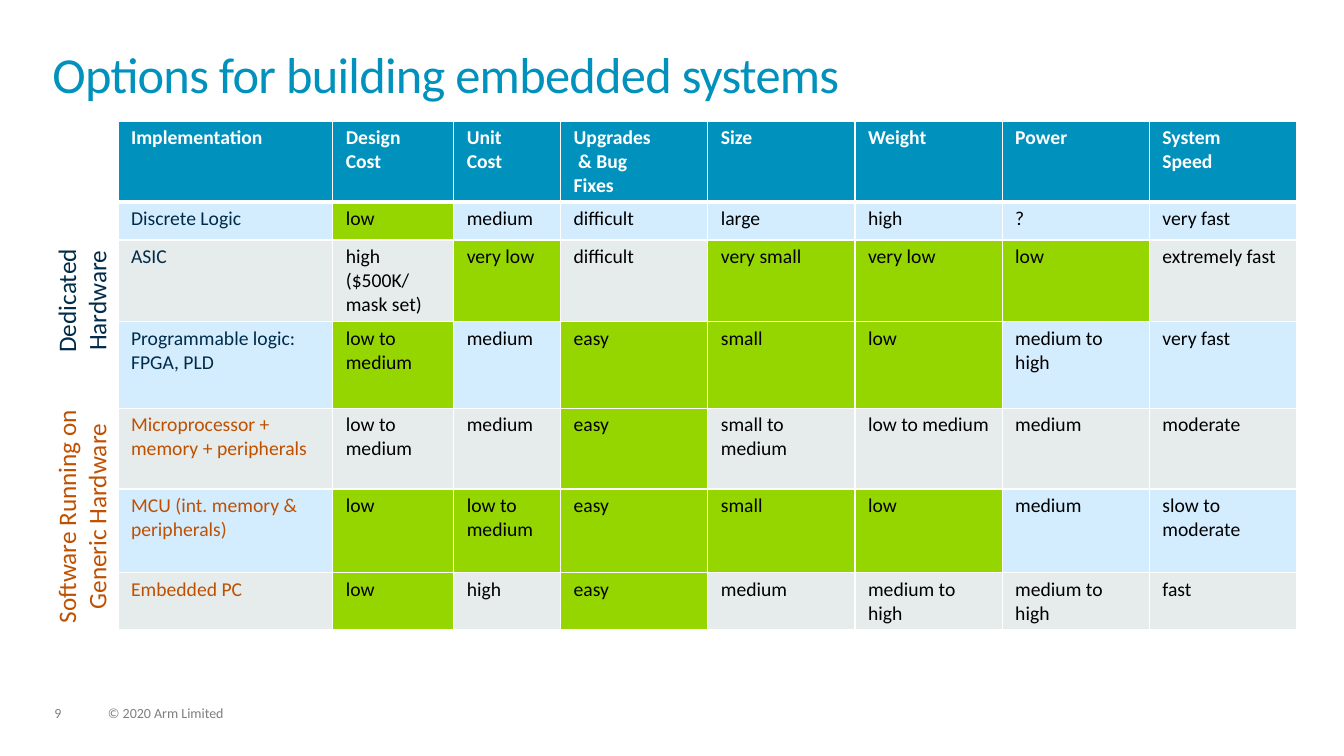
"""Build a slide comparing the options for building embedded systems."""
from copy import deepcopy
from dataclasses import dataclass

from lxml.etree import SubElement
from pptx import Presentation
from pptx.dml.color import RGBColor
from pptx.enum.text import PP_ALIGN
from pptx.oxml.ns import qn
from pptx.util import Inches, Pt

COLORS = {
    "blue": "0091BD",
    "navy": "002B49",
    "orange": "BF5000",
    "green": "95D600",
    "pale_blue": "D3EDFF",
    "pale_gray": "E5ECEB",
    "gray": "7F7F7F",
    "black": "000000",
    "white": "FFFFFF",
}
FONT = "Calibri"


@dataclass(frozen=True)
class Label:
    text: str
    left: float
    top: float
    width: float
    height: float
    size: float
    color: str
    rotation: float = 0
    inset: tuple[float, float] = (0, 0)
    align: PP_ALIGN = PP_ALIGN.LEFT
    line_spacing: float = 1.0
    tracking: float = 0


@dataclass(frozen=True)
class Option:
    values: tuple[str, ...]
    height: float
    color: str
    strengths: tuple[int, ...]


SIDE = {"size": 18, "rotation": 270, "inset": (0.1, 0.05), "align": PP_ALIGN.CENTER}
FOOTER = {"size": 10, "color": "gray", "line_spacing": 0.9}

LABELS = (
    Label("9", 0.54, 7.01, 0.34, 0.15, **FOOTER),
    Label("© 2020 Arm Limited", 1.07, 7.01, 1.71, 0.15, **FOOTER),
    Label("Options for building embedded systems", 0.52, 0.52, 12.28, 0.72,
          size=36, color="blue", line_spacing=0.85, tracking=-0.5),
    Label("Dedicated Hardware", -0.2, 2.63, 2.02, 0.71, color="navy", **SIDE),
    Label("Software Running on\nGeneric Hardware", -0.44, 4.77, 2.5, 0.71,
          color="orange", **SIDE),
)

COLUMN_WIDTHS = (2.13, 1.2, 1.06) + (1.46,) * 5
HEADER_HEIGHT = 0.78
HEADINGS = ("Implementation", "Design\nCost", "Unit\nCost", "Upgrades\n & Bug\nFixes",
            "Size", "Weight", "Power", "System\nSpeed")
OPTIONS = (
    Option(("Discrete Logic", "low", "medium", "difficult", "large", "high", "?",
            "very fast"), 0.38, "navy", (1,)),
    Option(("ASIC", "high ($500K/\nmask set)", "very low", "difficult", "very small",
            "very low", "low", "extremely fast"), 0.81, "navy", (2, 4, 5, 6)),
    Option(("Programmable logic: FPGA, PLD", "low to medium", "medium", "easy", "small",
            "low", "medium to high", "very fast"), 0.86, "navy", (1, 3, 4, 5)),
    Option(("Microprocessor + memory + peripherals", "low to medium", "medium", "easy",
            "small to medium", "low to medium", "medium", "moderate"),
           0.8, "orange", (3,)),
    Option(("MCU (int. memory & peripherals)", "low", "low to medium", "easy", "small",
            "low", "medium", "slow to moderate"), 0.83, "orange", (1, 2, 3, 4, 5)),
    Option(("Embedded PC", "low", "high", "easy", "medium", "medium to high",
            "medium to high", "fast"), 0.57, "orange", (1, 3)),
)


def rgb(name: str) -> RGBColor:
    """Return the named colour."""
    return RGBColor.from_string(COLORS[name])


def write_text(frame, text: str, *, size: float, color: str, bold: bool = False,
               align: PP_ALIGN = PP_ALIGN.LEFT, line_spacing: float = 1.0,
               tracking: float = 0) -> None:
    """Write one formatted paragraph, including its line breaks."""
    frame.word_wrap = True
    para = frame.paragraphs[0]
    para.text = text
    para.alignment = align
    para.line_spacing = line_spacing
    for span in para.runs:
        span.font.name = FONT
        span.font.size = Pt(size)
        span.font.bold = bold
        span.font.color.rgb = rgb(color)
        if tracking:
            span.font._element.set("spc", str(round(tracking * 100)))
    for line_break in para._p.findall(qn("a:br")):
        line_break.append(deepcopy(para.runs[0].font._element))


def add_label(page, label: Label) -> None:
    """Add a text box for a label."""
    box = page.shapes.add_textbox(Inches(label.left), Inches(label.top),
                                  Inches(label.width), Inches(label.height))
    box.rotation = label.rotation
    frame = box.text_frame
    frame.margin_left = frame.margin_right = Inches(label.inset[0])
    frame.margin_top = frame.margin_bottom = Inches(label.inset[1])
    write_text(frame, label.text, size=label.size, color=label.color, align=label.align,
               line_spacing=label.line_spacing, tracking=label.tracking)


def add_border(cell, side: str, width: float) -> None:
    """Draw a white border on one side of a cell."""
    line = SubElement(cell._tc.get_or_add_tcPr(), qn(f"a:ln{side}"), w=str(Pt(width)))
    fill = SubElement(line, qn("a:solidFill"))
    SubElement(fill, qn("a:srgbClr"), val=COLORS["white"])


def fill_cell(cell, text: str, *, fill: str, color: str, bold: bool = False,
              top: float = 1, bottom: float = 1) -> None:
    """Set the text, borders and fill of a table cell."""
    cell.margin_left = cell.margin_right = Inches(0.13)
    cell.margin_top = cell.margin_bottom = Inches(0.05)
    write_text(cell.text_frame, text, size=14, color=color, bold=bold)
    for side, width in (("L", 1), ("R", 1), ("T", top), ("B", bottom)):
        add_border(cell, side, width)
    cell.fill.solid()
    cell.fill.fore_color.rgb = rgb(fill)


def add_comparison(page) -> None:
    """Add the table that compares the options."""
    heights = [HEADER_HEIGHT] + [option.height for option in OPTIONS]
    table = page.shapes.add_table(
        len(heights), len(COLUMN_WIDTHS), Inches(1.17), Inches(1.2),
        Inches(sum(COLUMN_WIDTHS)), Inches(sum(heights))).table
    table.first_row = table.horz_banding = False
    for column, width in zip(table.columns, COLUMN_WIDTHS):
        column.width = Inches(width)
    for row, height in zip(table.rows, heights):
        row.height = Inches(height)
    for column, heading in enumerate(HEADINGS):
        fill_cell(table.cell(0, column), heading, fill="blue", color="white",
                  bold=True, bottom=3)
    for row, option in enumerate(OPTIONS, start=1):
        band = "pale_blue" if row % 2 else "pale_gray"
        for column, value in enumerate(option.values):
            fill_cell(table.cell(row, column), value,
                      fill="green" if column in option.strengths else band,
                      color="black" if column else option.color,
                      top=3 if row == 1 else 1)


def main() -> None:
    """Build and save the deck."""
    deck = Presentation()
    deck.slide_width, deck.slide_height = Inches(13.33), Inches(7.5)
    page = deck.slides.add_slide(deck.slide_layouts[6])
    for label in LABELS:
        add_label(page, label)
    add_comparison(page)
    deck.save("out.pptx")


if __name__ == "__main__":
    main()
